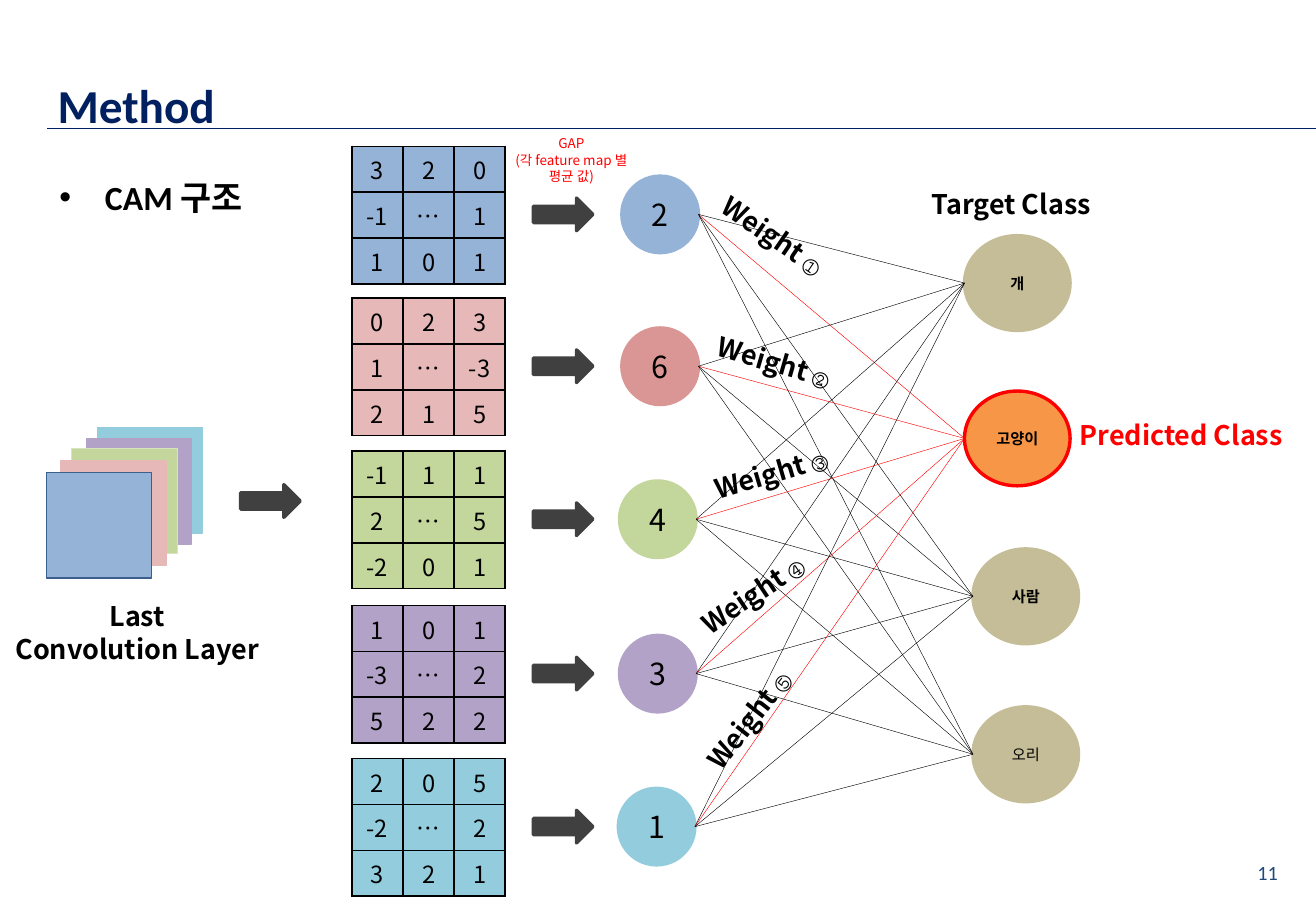
from itertools import product
from lxml import etree
from pptx import Presentation
from pptx.dml.color import RGBColor
from pptx.enum import shapes, text
from pptx.oxml.ns import qn
from pptx.util import Pt

SANS, CALIBRI, MONO = "Noto Sans CJK KR", "Calibri", "Courier New"
NAVY, BLACK, RED, DARK = "002060", "000000", "FF0000", "404040"
BLUE, PINK, GREEN, PURPLE, AQUA = "95B3D7", "E6B9B8", "C3D69B", "B3A2C7", "93CDDD"
ROSE, TAN, ORANGE = "D99694", "C4BD97", "F79646"
LEFT, CENTER, RIGHT = text.PP_ALIGN.LEFT, text.PP_ALIGN.CENTER, text.PP_ALIGN.RIGHT
OVAL = shapes.MSO_SHAPE.FLOWCHART_CONNECTOR
ARROW = shapes.MSO_SHAPE.RIGHT_ARROW
NODE, TARGET_W, TARGET_H = 45.4, 62.6, 56.2

FEATURE_MAPS = [
    (368.6, 104.4, BLUE, BLUE, "2", ["3 2 0", "-1 … 1", "1 0 1"]),
    (368.6, 194.4, PINK, ROSE, "6", ["0 2 3", "1 … -3", "2 1 5"]),
    (367.2, 285.1, GREEN, GREEN, "4", ["-1 1 1", "2 … 5", "-2 0 1"]),
    (367.2, 376.6, PURPLE, PURPLE, "3", ["1 0 1", "-3 … 2", "5 2 2"]),
    (366.5, 467.3, AQUA, AQUA, "1", ["2 0 5", "-2 … 2", "3 2 1"]),
]
TARGETS = [
    (571.7, 139.7, "개", TAN, TAN, True),
    (571.7, 231.8, "고양이", ORANGE, RED, True),
    (576.7, 325.4, "사람", TAN, TAN, True),
    (576.7, 419, "오리", TAN, TAN, False),
]
LAYERS = [
    (57.6, 253.4, AQUA, AQUA),
    (51.1, 259.9, PURPLE, PURPLE),
    (42.5, 265.7, GREEN, "D7E4BD"),
    (36, 272.9, PINK, PINK),
    (27.4, 280.1, BLUE, "3A5F8C"),
]
WEIGHTS = [
    (401.8, 126, 34.4, "①"),
    (402.5, 200.9, 16.1, "②"),
    (400.3, 267, 343.6, "③"),
    (389.4, 338.7, 326.2, "④"),
    (387, 413, 308.1, "⑤"),
]


def rgb(value):
    return RGBColor.from_string(value)


def write(tf, lines, size=16, font=SANS, color=BLACK, bold=False, align=CENTER, spacing=None):
    for i, line in enumerate(lines):
        p = tf.paragraphs[0] if i == 0 else tf.add_paragraph()
        p.alignment = align
        p.space_before = Pt(0)
        if spacing:
            p.line_spacing = spacing
        for content, face in ([(line, font)] if isinstance(line, str) else line):
            r = p.add_run()
            r.text = content
            r.font.size, r.font.bold, r.font.name = Pt(size), bold, face
            r.font.color.rgb = rgb(color)
            etree.SubElement(r.font._element, qn("a:ea"), typeface=face)


def place(sp, x, y, w, h):
    sp.left, sp.top, sp.width, sp.height = Pt(x), Pt(y), Pt(w), Pt(h)


class Deck:
    def __init__(self, width, height):
        self.prs = Presentation()
        self.prs.slide_width, self.prs.slide_height = Pt(width), Pt(height)
        self.s = self.prs.slides.add_slide(self.prs.slide_layouts[1])

    def title(self, content, *box):
        sp = self.s.shapes.title
        place(sp, *box)
        sp.text_frame.vertical_anchor = text.MSO_ANCHOR.MIDDLE
        write(sp.text_frame, [content], size=28, font=CALIBRI, color=NAVY, bold=True, align=LEFT)

    def bullets(self, lines, *box):
        sp = self.s.placeholders[1]
        place(sp, *box)
        write(sp.text_frame, lines, size=20, font=CALIBRI, bold=True, align=LEFT, spacing=1.5)
        for p in sp.text_frame.paragraphs:
            pPr = p._p.get_or_add_pPr()
            pPr.set("marL", str(Pt(27)))
            pPr.set("indent", str(-Pt(27)))
            etree.SubElement(pPr, qn("a:buFont"), typeface="Arial")
            etree.SubElement(pPr, qn("a:buChar"), char="•")

    def label(self, lines, x, y, w, h=26.6, angle=0, size=16, **fmt):
        sp = self.s.shapes.add_textbox(Pt(x), Pt(y), Pt(w), Pt(h))
        sp.rotation = angle
        sp.text_frame.word_wrap = True
        write(sp.text_frame, lines, size=size, spacing=Pt(round(size * 1.22, 1)), **fmt)
        return sp

    def shape(self, kind, x, y, w, h, fill, line, weight=2, content=None, **fmt):
        sp = self.s.shapes.add_shape(kind, Pt(x), Pt(y), Pt(w), Pt(h))
        sp.shadow.inherit = False
        sp.fill.solid()
        sp.fill.fore_color.rgb = rgb(fill)
        sp.line.color.rgb = rgb(line)
        sp.line.width = Pt(weight)
        if content:
            sp.text_frame.vertical_anchor = text.MSO_ANCHOR.MIDDLE
            write(sp.text_frame, [content], **fmt)

    def line(self, x1, y1, x2, y2, color, weight):
        sp = self.s.shapes.add_connector(
            shapes.MSO_CONNECTOR.STRAIGHT, Pt(x1), Pt(y1), Pt(x2), Pt(y2))
        sp.line.color.rgb = rgb(color)
        sp.line.width = Pt(weight)
        etree.SubElement(sp._element.spPr, qn("a:effectLst"))

    def table(self, rows, x, y, col_w, row_h, fill):
        n_rows, n_cols = len(rows), len(rows[0])
        tbl = self.s.shapes.add_table(
            n_rows, n_cols, Pt(x), Pt(y), Pt(col_w * n_cols), Pt(row_h * n_rows)).table
        tbl.first_row = tbl.horz_banding = False
        for i, j in product(range(n_rows), range(n_cols)):
            cell = tbl.cell(i, j)
            write(cell.text_frame, [rows[i][j]], size=14)
            tcPr = cell._tc.get_or_add_tcPr()
            for side in ("lnL", "lnR", "lnT", "lnB"):
                ln = etree.SubElement(tcPr, qn("a:" + side), w=str(Pt(1)))
                solid = etree.SubElement(ln, qn("a:solidFill"))
                etree.SubElement(solid, qn("a:srgbClr"), val=BLACK)
            cell.fill.solid()
            cell.fill.fore_color.rgb = rgb(fill)


def main():
    deck = Deck(780, 540)
    deck.line(28, 76.3, 780, 76.3, NAVY, 0.75)
    deck.title("Method", 27, 42.5, 753, 39)
    deck.bullets(["CAM 구조"], 28, 89, 742, 442)
    number = deck.label(["11"], 582.5, 502.5, 182, 29,
                        size=12, font=CALIBRI, color="1F497D", align=RIGHT)
    number.text_frame.vertical_anchor = text.MSO_ANCHOR.MIDDLE

    for x, y, fill, line in LAYERS:
        deck.shape(shapes.MSO_SHAPE.RECTANGLE, x, y, 62.6, 62.6, fill, line, 0.75)
    deck.shape(ARROW, 142.6, 287.3, 35.3, 19.4, DARK, DARK)

    for x, y, map_fill, node_fill, mean, rows in FEATURE_MAPS:
        deck.table([row.split() for row in rows], 208.6, y - 17.7, 30.3, 27.2, map_fill)
        deck.shape(ARROW, 316.1, y + 13, 35.3, 19.4, DARK, DARK)
        deck.shape(OVAL, x, y, NODE, NODE, node_fill, node_fill, content=mean, size=18)
    deck.label(["GAP", "(각 feature map 별", "평균 값)"], 282.2, 76.3, 113, size=8, color=RED)

    for x, y, name, fill, line, bold in TARGETS:
        deck.shape(OVAL, x, y, TARGET_W, TARGET_H, fill, line, content=name, size=9, bold=bold)
    for (x1, y1, *_), (x2, y2, _, _, line, _) in product(FEATURE_MAPS, TARGETS):
        deck.line(x1 + NODE, y1 + NODE / 2, x2, y2 + TARGET_H / 2,
                  RED if line == RED else BLACK, 0.25)

    deck.label(["Target Class"], 542.9, 107.3, 113, bold=True)
    deck.label(["Last", "Convolution Layer"], -10.8, 351.4, 184.3, 46.1, bold=True)
    deck.label(["Predicted Class"], 630.7, 244.1, 139, color=RED, bold=True)
    for x, y, angle, mark in WEIGHTS:
        deck.label([[("Weight ", SANS), (mark, MONO)]], x, y, 113, angle=angle, bold=True)
    deck.prs.save("out.pptx")


if __name__ == "__main__":
    main()
